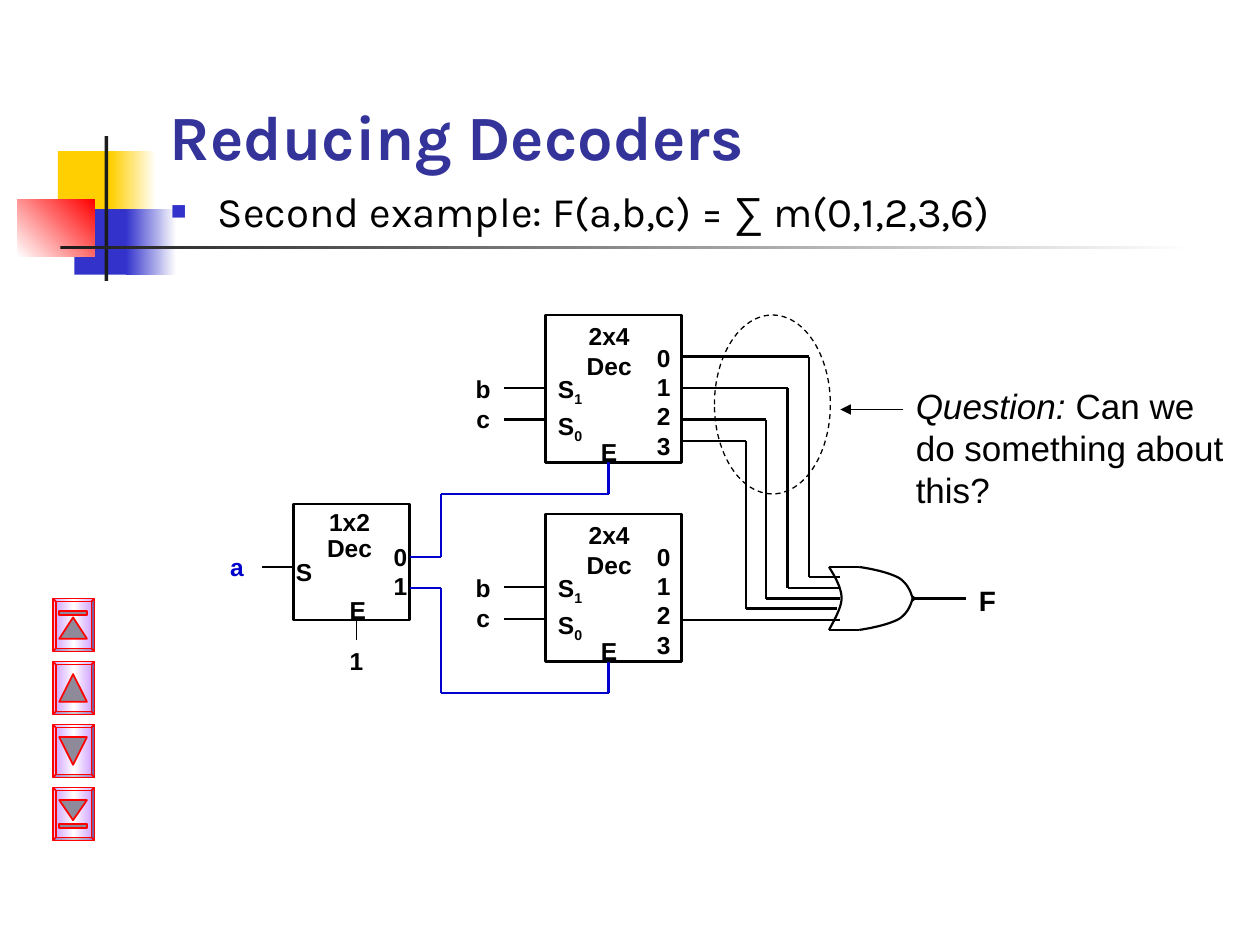
from itertools import pairwise

from lxml import etree
from pptx import Presentation
from pptx import util as u
from pptx.dml import color
from pptx.enum import dml, shapes, text
from pptx.oxml import ns

COLORS = {
    "black": "000000", "ink": "1C1C1C", "white": "FFFFFF", "title": "333399",
    "yellow": "FFCF01", "blue": "3333CC", "red": "FF0000", "wire": "0000CC",
    "lilac": "CC99FF", "gray": "8F8A99",
}
Inches = u.Inches
SHAPE = shapes.MSO_SHAPE
ALIGN = text.PP_ALIGN


def rgb(name):
    return color.RGBColor.from_string(COLORS[name])


def add_child(parent, tag, **attributes):
    child = etree.SubElement(parent, ns.qn(tag))
    for key, value in attributes.items():
        child.set(key, str(value))
    return child


def set_gradient(shape, names, angle):
    shape.fill.gradient()
    gradient = shape._element.spPr.find(ns.qn("a:gradFill"))
    for child in list(gradient):
        gradient.remove(child)
    stops = add_child(gradient, "a:gsLst")
    for index, name in enumerate(names):
        stop = add_child(stops, "a:gs", pos=index * 100000 // (len(names) - 1))
        add_child(stop, "a:srgbClr", val=COLORS[name])
    add_child(gradient, "a:lin", ang=angle * 60000, scaled=0)


def style(shape, fill=None, line=None, width=1, angle=0):
    shape.shadow.inherit = False
    if fill is None:
        shape.fill.background()
    elif isinstance(fill, tuple):
        set_gradient(shape, fill, angle)
    else:
        shape.fill.solid()
        shape.fill.fore_color.rgb = rgb(fill)
    if line:
        shape.line.color.rgb = rgb(line)
        shape.line.width = u.Pt(width)
    else:
        shape.line.fill.background()
    return shape


def add_shape(slide, kind, box, **look):
    return style(slide.shapes.add_shape(kind, *map(Inches, box)), **look)


def add_wire(slide, points, name="black", width=1.25):
    for start, end in pairwise(points):
        line = slide.shapes.add_connector(
            shapes.MSO_CONNECTOR.STRAIGHT, *map(Inches, (*start, *end)))
        line.line.color.rgb = rgb(name)
        line.line.width = u.Pt(width)
        add_child(line._element.spPr, "a:effectLst")
    return line


def add_curve(slide, start, *segments):
    points = []
    origin = start
    for first, second, end in segments:
        for step in range(1, 13):
            t = step / 12
            points.append(tuple(
                Inches(a * (1 - t) ** 3 + 3 * b * t * (1 - t) ** 2
                       + 3 * c * t * t * (1 - t) + d * t ** 3)
                for a, b, c, d in zip(origin, first, second, end)))
        origin = end
    builder = slide.shapes.build_freeform(*map(Inches, start))
    builder.add_line_segments(points, close=False)
    style(builder.convert_to_shape(), line="black", width=1.25)


def add_text(slide, box, paragraphs, size=14, font="Arial", name="black", bold=True,
             align=ALIGN.LEFT, anchor=text.MSO_ANCHOR.TOP, before=0, spacing=None):
    frame = slide.shapes.add_textbox(*map(Inches, box)).text_frame
    frame.word_wrap = True
    frame.vertical_anchor = anchor
    for index, content in enumerate(paragraphs):
        paragraph = frame.add_paragraph() if index else frame.paragraphs[0]
        paragraph.alignment = align
        if index and before:
            paragraph.space_before = u.Pt(before)
        if spacing:
            paragraph.line_spacing = spacing
        runs = [(content, {})] if isinstance(content, str) else content
        for words, changes in runs:
            run = paragraph.add_run()
            run.text = words
            run.font.size = u.Pt(size)
            run.font.name = changes.get("font", font)
            run.font.bold = bold
            run.font.italic = changes.get("italic", False)
            run.font.color.rgb = rgb(name)
            if "baseline" in changes:
                run._r.get_or_add_rPr().set("baseline", str(changes["baseline"]))
    return frame


def add_ornament(slide, left, top):
    for x, y, width, height, fill, angle in (
            (0.32, 0.12, 0.48, 0.52, "yellow", 0),
            (0.74, 0.12, 0.36, 0.52, ("yellow", "white"), 0),
            (0.45, 0.58, 0.46, 0.52, "blue", 0),
            (0.86, 0.58, 0.4, 0.52, ("blue", "white"), 0),
            (0, 0.5, 0.61, 0.46, ("white", "red"), 315),
            (0.69, 0, 0.03, 1.15, "ink", 0),
            (0.34, 0.87, 9, 0.03, ("ink", "white"), 0)):
        add_shape(slide, SHAPE.RECTANGLE, (left + x, top + y, width, height),
                  fill=fill, angle=angle)


def add_heading(slide, left, top):
    add_text(slide, (left, top, 8.5, 1.25), ["Reducing Decoders"], size=36,
             font="Karla", name="title", anchor=text.MSO_ANCHOR.BOTTOM)
    frame = add_text(slide, (left, top + 1.25, 8.42, 0.58), [[
        ("Second example: F(a,b,c) = ", {}), ("∑", {"font": "Arial"}),
        (" m(0,1,2,3,6)", {})]], size=24, font="Karla", bold=False)
    properties = frame.paragraphs[0]._p.get_or_add_pPr()
    properties.set("marL", str(Inches(0.38)))
    properties.set("indent", str(Inches(-0.38)))
    add_child(add_child(properties, "a:buClr"), "a:srgbClr", val=COLORS["blue"])
    add_child(properties, "a:buSzPct", val=120000)
    add_child(properties, "a:buFont", typeface="Arial")
    add_child(properties, "a:buChar", char="▪")


def add_button(slide, left, top, kind, arrow_top, arrow_height, bar_top=None):
    bevel = add_shape(slide, SHAPE.BEVEL, (left, top, 0.33, 0.42),
                      fill=("lilac", "white", "lilac"), line="red")
    bevel.adjustments[0] = 0.07
    add_shape(slide, kind, (left + 0.05, top + arrow_top, 0.22, arrow_height),
              fill="gray", line="red")
    if bar_top:
        add_shape(slide, SHAPE.RECTANGLE, (left + 0.05, top + bar_top, 0.22, 0.03),
                  fill="gray", line="red")


def add_navigation(slide, left, top):
    up, down = SHAPE.ISOSCELES_TRIANGLE, SHAPE.FLOWCHART_MERGE
    buttons = ((up, 0.15, 0.17, 0.1), (up, 0.1, 0.22),
               (down, 0.1, 0.22), (down, 0.1, 0.16, 0.29))
    for index, button in enumerate(buttons):
        add_button(slide, left, top + index * 0.5, *button)


def add_large_decoder(slide, left, top):
    add_shape(slide, SHAPE.RECTANGLE, (left, top, 1.08, 1.17), line="black", width=1.5)
    add_text(slide, (left + 0.09, top, 0.83, 0.57), ["2x4", "Dec"], align=ALIGN.CENTER)
    add_text(slide, (left, top + 0.42, 0.46, 0.66),
             [[("S", {}), (digit, {"baseline": -25000})] for digit in "10"], before=1.8)
    add_text(slide, (left + 0.67, top + 0.17, 0.42, 1.04), list("0123"), align=ALIGN.RIGHT)
    add_text(slide, (left + 0.34, top + 0.92, 0.33, 0.34), ["E"], align=ALIGN.CENTER)
    add_text(slide, (left - 0.66, top + 0.42, 0.33, 0.57), list("bc"), align=ALIGN.CENTER)
    for y in (0.58, 0.83):
        add_wire(slide, [(left - 0.33, top + y), (left, top + y)])


def add_small_decoder(slide, left, top):
    add_shape(slide, SHAPE.RECTANGLE, (left, top, 0.92, 0.92), line="black", width=1.5)
    add_text(slide, (left + 0.03, top, 0.83, 0.52), ["1x2", "Dec"],
             align=ALIGN.CENTER, spacing=0.9)
    add_text(slide, (left - 0.08, top + 0.37, 0.47, 0.34), ["S"])
    add_text(slide, (left + 0.58, top + 0.25, 0.42, 0.57), list("01"), align=ALIGN.RIGHT)
    add_text(slide, (left + 0.33, top + 0.67, 0.36, 0.34), ["E"], align=ALIGN.CENTER)
    add_text(slide, (left - 0.66, top + 0.33, 0.42, 0.34), ["a"],
             name="wire", align=ALIGN.CENTER)
    add_text(slide, (left + 0.25, top + 1.08, 0.5, 0.34), ["1"], align=ALIGN.CENTER)
    add_wire(slide, [(left - 0.25, top + 0.5), (left, top + 0.5)])
    add_wire(slide, [(left + 0.5, top + 0.92), (left + 0.5, top + 1.08)], width=0.75)


def add_or_gate(slide, left, top):
    def at(x, y):
        return left + x, top + y

    add_curve(slide, at(0, 0), (at(0.05, 0.08), at(0.1, 0.17), at(0.1, 0.25)),
              (at(0.1, 0.33), at(0.02, 0.46), at(0, 0.5)))
    for edge, sign in ((0, 1), (0.5, -1)):
        add_wire(slide, [at(0, edge), at(0.24, edge)])
        add_curve(slide, at(0.24, edge),
                  (at(0.37, edge + sign * 0.02), at(0.49, edge + sign * 0.05),
                   at(0.56, edge + sign * 0.09)),
                  (at(0.63, edge + sign * 0.14), at(0.65, edge + sign * 0.2),
                   at(0.67, edge + sign * 0.27)))
    add_wire(slide, [at(0.67, 0.25), at(1.09, 0.25)])
    add_text(slide, (*at(1.09, 0.08), 0.33, 0.37), ["F"], size=16)


def add_wiring(slide):
    for start, bend, end, tip in ((2.83, 6.42, 4.58, 6.67), (3.08, 6.25, 4.67, 6.67),
                                  (3.33, 6.08, 4.75, 6.67), (3.5, 5.92, 4.83, 6.64)):
        add_wire(slide, [(5.42, start), (bend, start), (bend, end), (tip, end)])
    add_wire(slide, [(5.42, 4.92), (6.67, 4.92)])
    for start, turn, end in ((4.42, 3.92, 3.67), (4.67, 5.5, 5.25)):
        add_wire(slide, [(3.25, start), (3.5, start), (3.5, turn),
                         (4.83, turn), (4.83, end)], name="wire")


def add_question(slide, left, top):
    oval = add_shape(slide, SHAPE.OVAL, (left, top, 0.92, 1.42), line="black", width=0.75)
    oval.line.dash_style = dml.MSO_LINE.DASH
    arrow = add_wire(slide, [(left + 1.5, top + 0.75), (left + 1, top + 0.75)], width=0.75)
    add_child(arrow.line._get_or_add_ln(), "a:tailEnd", type="triangle")
    add_text(slide, (left + 1.5, top + 0.5, 2.67, 1.1), [[
        ("Question:", {"italic": True}), (" Can we do something about this?", {})]],
        size=20, bold=False)


def main():
    presentation = Presentation()
    presentation.slide_width, presentation.slide_height = Inches(10), Inches(7.5)
    slide = presentation.slides.add_slide(presentation.slide_layouts[6])
    add_ornament(slide, 0.14, 1.08)
    add_heading(slide, 1.25, 0.17)
    add_navigation(slide, 0.42, 4.75)
    add_or_gate(slide, 6.58, 4.5)
    for top in (2.5, 4.08):
        add_large_decoder(slide, 4.33, top)
    add_small_decoder(slide, 2.33, 4)
    add_wiring(slide)
    add_question(slide, 5.67, 2.5)
    presentation.save("out.pptx")


if __name__ == "__main__":
    main()
